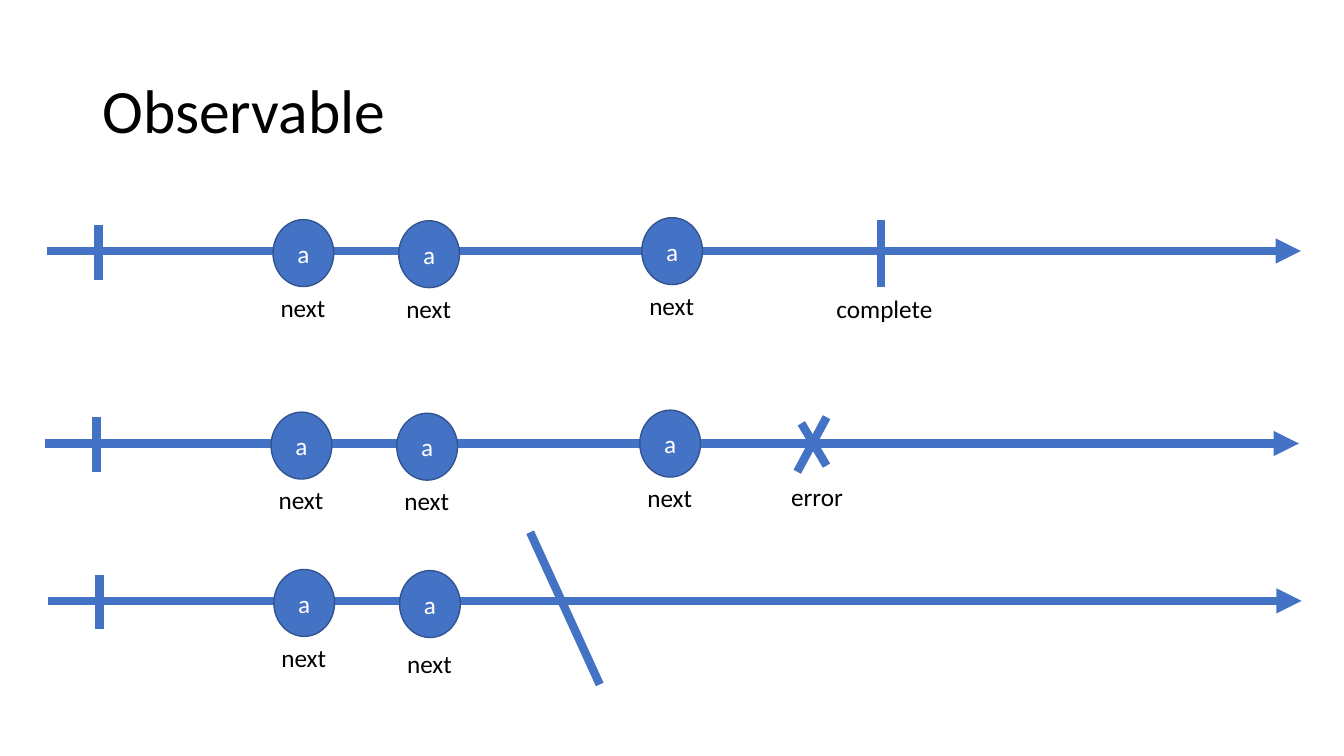
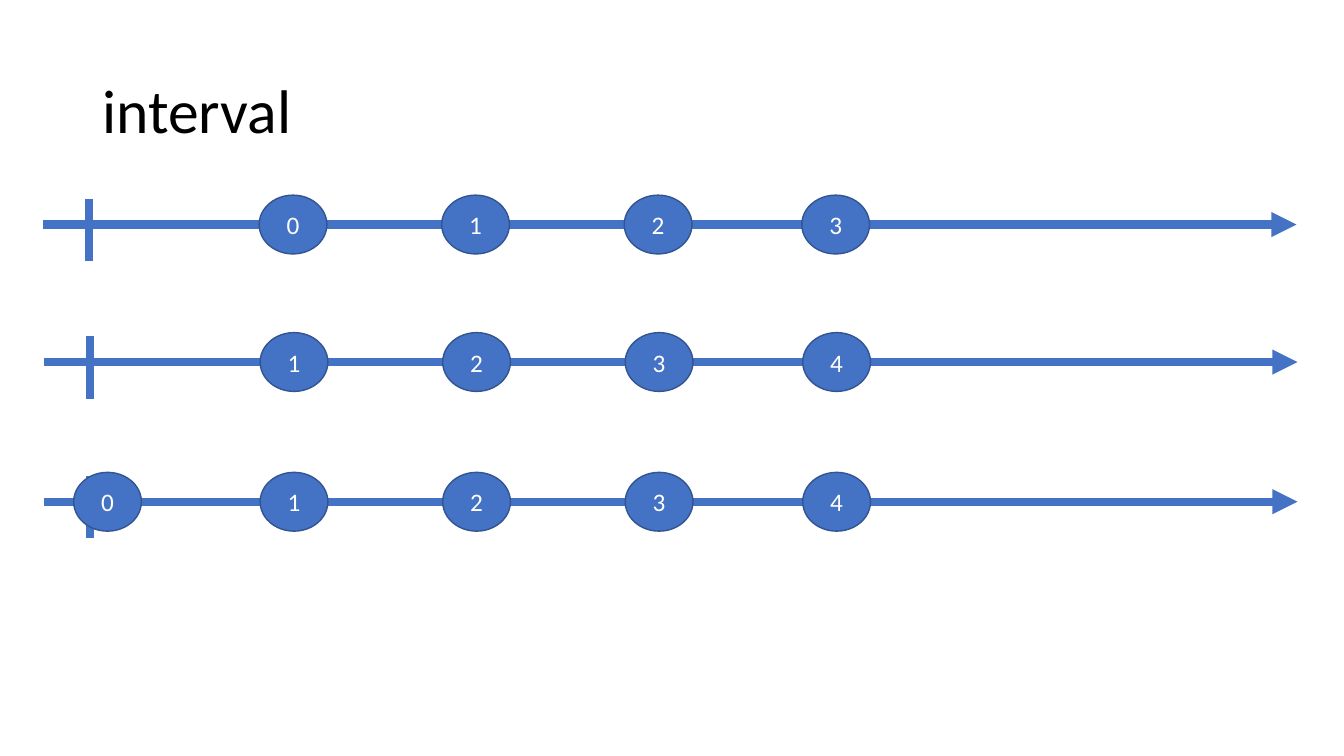
from pptx import Presentation
from pptx.dml.color import RGBColor
from pptx.enum.shapes import MSO_CONNECTOR, MSO_SHAPE
from pptx.enum.text import MSO_ANCHOR, MSO_AUTO_SIZE, PP_ALIGN
from pptx.oxml.ns import qn
from pptx.util import Pt
from lxml import etree

STRAIGHT = MSO_CONNECTOR.STRAIGHT
OVAL = MSO_SHAPE.OVAL
MIDDLE = MSO_ANCHOR.MIDDLE
GROW = MSO_AUTO_SIZE.SHAPE_TO_FIT_TEXT
LEFT, CENTER = PP_ALIGN.LEFT, PP_ALIGN.CENTER

rgb = RGBColor.from_string
BLUE, EDGE, BLACK, WHITE = "4472C4", "325491", "000000", "FFFFFF"
TITLE = {"size": Pt(44), "name": "Calibri"}
BODY = {"size": Pt(18), "name": "Calibri"}
REACH = 895.6  # length of a time axis
NOTE_W, NOTE_H = 46.8, 28.8


def write(shape, text, style, color, align=LEFT):
    para = shape.text_frame.paragraphs[0]
    para.alignment = align
    run = para.add_run()
    run.text = text
    for key, value in style.items():
        setattr(run.font, key, value)
    run.font.color.rgb = rgb(color)
    return para


def stroke(slide, x1, y1, x2, y2, arrow=False):
    line = slide.shapes.add_connector(STRAIGHT, Pt(x1), Pt(y1), Pt(x2), Pt(y2))
    line.line.color.rgb = rgb(BLUE)
    line.line.width = Pt(6)
    props = line.line._get_or_add_ln()
    if arrow:
        etree.SubElement(props, qn("a:tailEnd"), type="triangle")
    etree.SubElement(props.getparent(), qn("a:effectLst"))


# Ball: offset from axis start, top offset from axis, text
pair = [(161.4, -22.4, "a"), (251.2, -21.6, "a")]
trio = pair + [(424.8, -23.8, "a")]
spots = [154.6, 285, 415.4, 542.2]
first = [(dx, -21, str(n)) for n, dx in enumerate(spots)]
later = [(dx, -21, str(n)) for n, dx in enumerate(spots, 1)]

# Row: axis start x, axis y, balls, gaps from ball top to its note
# Mark: line ends x1, y1, x2, y2; word: left, top, width, text
decks = [
    {
        "title": "Observable",
        "tick": (36.8, -18.8, 20.4),
        "ball": (43.4, 47.8),
        "rows": [
            (33.6, 179.3, trio, [48.2, 48.2, 48.2]),
            (32.2, 316.8, trio, [48.2, 48.2, 48.2]),
            (34.2, 429.2, pair, [48.2, 52]),
        ],
        "marks": [
            (629.3, 157, 629.3, 205.2),
            (572.4, 302.4, 590.4, 332.6),
            (590.4, 298, 569.5, 337),
            (378.7, 380.2, 428.4, 488.9),
        ],
        "words": [
            (590.4, 205.9, 84.2, "complete"),
            (558, 340, 51.8, "error"),
        ],
    },
    {
        "title": "interval",
        "tick": (33, -18.4, 26.2),
        "ball": (48.4, 42),
        "rows": [
            (30.5, 160.4, first, []),
            (31.2, 258.6, later, []),
            (31.2, 358.4, later + [(21.4, -21, "0")], []),
        ],
        "marks": [],
        "words": [],
    },
]

prs = Presentation()
prs.slide_width, prs.slide_height = Pt(960), Pt(540)

for deck in decks:
    slide = prs.slides.add_slide(prs.slide_layouts[6])
    head = slide.shapes.add_textbox(Pt(66), Pt(28.8), Pt(828), Pt(104.4))
    head.text_frame.word_wrap = True
    head.text_frame.vertical_anchor = MIDDLE
    write(head, deck["title"], TITLE, BLACK).line_spacing = 0.9

    shift, top, low = deck["tick"]
    wide, high = deck["ball"]
    words = list(deck["words"])

    for x, y, balls, gaps in deck["rows"]:
        stroke(slide, x, y, x + REACH, y, arrow=True)
        stroke(slide, x + shift, y + top, x + shift, y + low)
        for dx, dy, text in balls:
            ball = slide.shapes.add_shape(
                OVAL, Pt(x + dx), Pt(y + dy), Pt(wide), Pt(high))
            ball.shadow.inherit = False
            ball.fill.solid()
            ball.fill.fore_color.rgb = rgb(BLUE)
            ball.line.color.rgb = rgb(EDGE)
            ball.line.width = Pt(1)
            ball.text_frame.vertical_anchor = MIDDLE
            write(ball, text, BODY, WHITE, CENTER)
        for (dx, dy, text), gap in zip(balls, gaps):
            left = x + dx + (wide - NOTE_W) / 2
            words.append((left, y + dy + gap, NOTE_W, "next"))

    for mark in deck["marks"]:
        stroke(slide, *mark)

    for left, y, width, text in words:
        note = slide.shapes.add_textbox(Pt(left), Pt(y), Pt(width), Pt(NOTE_H))
        note.text_frame.word_wrap = False
        note.text_frame.auto_size = GROW
        write(note, text, BODY, BLACK)

prs.save("out.pptx")
